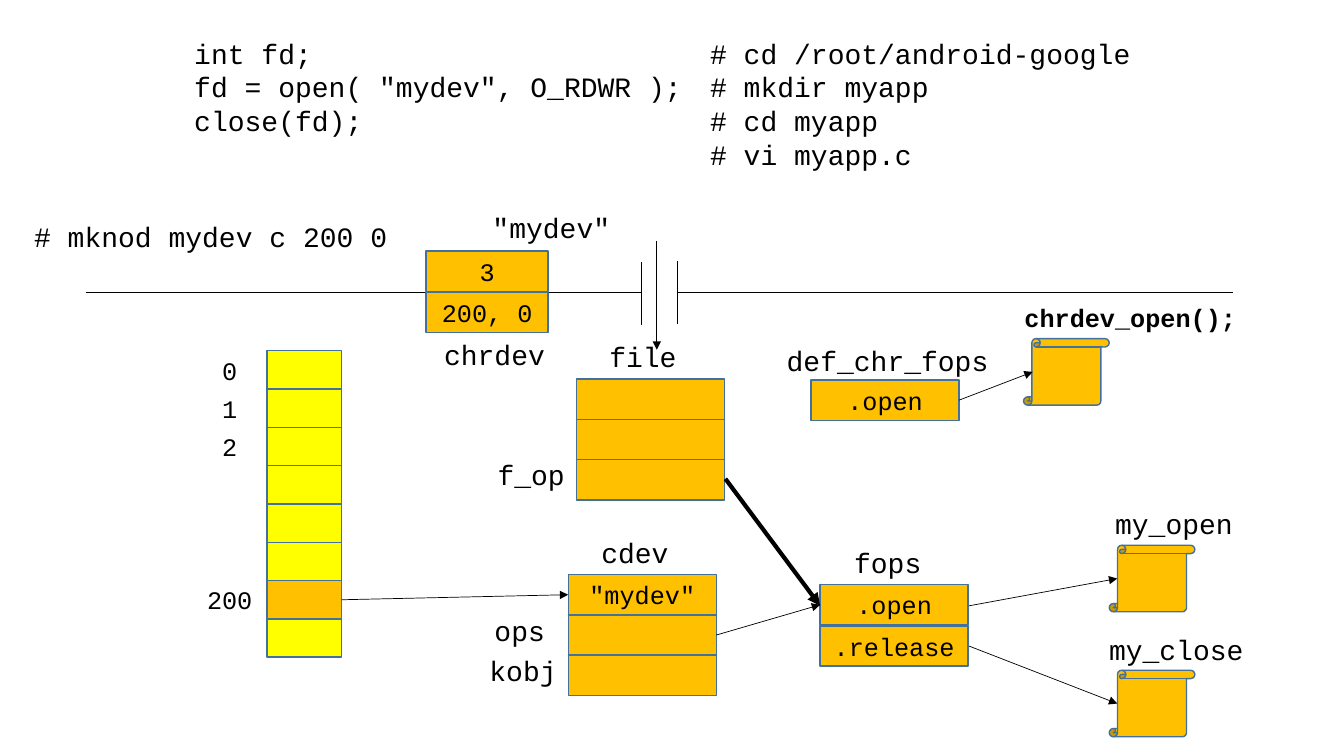
from dataclasses import dataclass

import lxml.etree
import pptx
import pptx.dml.color
import pptx.enum.shapes
import pptx.enum.text
import pptx.oxml.ns
import pptx.shapes.base
import pptx.slide
import pptx.text.text
import pptx.util

PX = pptx.util.Inches(0.01)
SHAPES = pptx.enum.shapes.MSO_SHAPE
ALIGN = pptx.enum.text.PP_ALIGN
ANCHOR = pptx.enum.text.MSO_ANCHOR


@dataclass(frozen=True)
class Theme:
    font: str = "Courier New"
    ink: str = "000000"
    outline: str = "41719C"
    amber: str = "FFC000"
    yellow: str = "FFFF00"
    cell_size: int = 18
    label_size: int = 20
    outline_width: float = 1
    thin: float = 0.5
    thick: float = 3


THEME = Theme()


@dataclass(frozen=True)
class Stack:
    """A column of cells, one per text."""
    left: int
    top: int
    width: int
    pitch: int
    texts: tuple[str, ...]
    height: int = 40
    fill: str = THEME.amber


@dataclass(frozen=True)
class Label:
    left: int
    top: int
    width: int
    lines: tuple[str, ...]
    size: int = THEME.label_size
    bold: bool = False


@dataclass(frozen=True)
class Line:
    start: tuple[int, int]
    end: tuple[int, int]
    width: float = THEME.thin
    arrow: bool = True


DIVIDER = [
    Line((85, 290), (637, 290), arrow=False),
    Line((672, 290), (1224, 290), arrow=False),
    Line((637, 260), (637, 322), arrow=False),
    Line((672, 259), (672, 321), arrow=False),
]
DEVICE_LEFT, DEVICE_TOP, DEVICE_WIDTH, DEVICE_PITCH, DEVICE_COUNT = 265, 348, 74, 38, 8
DEVICE_NUMBERS = {0: "0", 1: "1", 2: "2", 6: "200"}
USED_DEVICE = 6
STACKS = [
    Stack(DEVICE_LEFT, DEVICE_TOP, DEVICE_WIDTH, DEVICE_PITCH, ("",) * DEVICE_COUNT,
          DEVICE_PITCH, THEME.yellow),
    Stack(DEVICE_LEFT, DEVICE_TOP + USED_DEVICE * DEVICE_PITCH, DEVICE_WIDTH,
          DEVICE_PITCH, ("",), DEVICE_PITCH),
    Stack(423, 249, 121, 41, ("3", "200, 0")),
    Stack(572, 376, 147, 40, ("", "", "")),
    Stack(564, 570, 147, 40, ('"mydev"', "", "")),
    Stack(814, 580, 147, 41, (".open", ".release")),
    Stack(805, 377, 147, 40, (".open",)),
]
SCROLLS = [(1016, 336), (1101, 541), (1101, 665)]
SCROLL_SIZE = (85, 66)
ARROWS = [
    Line((652, 239), (652, 347)),
    Line((339, 595), (564, 590)),
    Line((711, 630), (814, 600)),
    Line((962, 601), (1109, 574)),
    Line((962, 641), (1109, 698)),
    Line((952, 397), (1025, 369)),
    Line((720, 475), (814, 601), THEME.thick),
]
LABELS = [
    Label(183, 31, 506, ("int fd;", 'fd = open( "mydev", O_RDWR );', "close(fd);")),
    Label(695, 31, 439, ("# cd /root/android-google", "# mkdir myapp",
                         "# cd myapp", "# vi myapp.c")),
    Label(24, 213, 372, ("# mknod mydev c 200 0",)),
    Label(479, 204, 137, ('"mydev"',)),
    Label(431, 330, 137, ("chrdev",)),
    Label(595, 332, 87, ("file",)),
    Label(484, 449, 87, ("f_op",)),
    Label(587, 526, 87, ("cdev",)),
    Label(481, 604, 70, ("ops",)),
    Label(476, 643, 87, ("kobj",)),
    Label(838, 536, 87, ("fops",)),
    Label(771, 336, 221, ("def_chr_fops",)),
    Label(1097, 498, 137, ("my_open",)),
    Label(1091, 623, 154, ("my_close",)),
    Label(1007, 295, 230, ("chrdev_open();",), THEME.cell_size, True),
]


def color(value: str) -> pptx.dml.color.RGBColor:
    return pptx.dml.color.RGBColor.from_string(value)


def add_run(paragraph: pptx.text.text._Paragraph, text: str, size: int,
            bold: bool = False) -> None:
    run = paragraph.add_run()
    run.text = text
    run.font.name = THEME.font
    run.font.size = pptx.util.Pt(size)
    run.font.bold = bold
    run.font.color.rgb = color(THEME.ink)


def center_text(shape: pptx.shapes.base.BaseShape, text: str) -> None:
    frame = shape.text_frame
    frame.word_wrap = True
    frame.vertical_anchor = ANCHOR.MIDDLE
    paragraph = frame.paragraphs[0]
    paragraph.alignment = ALIGN.CENTER
    add_run(paragraph, text, THEME.cell_size)


def draw_shape(slide: pptx.slide.Slide, kind: pptx.enum.shapes.MSO_SHAPE, left: int,
               top: int, width: int, height: int, fill: str) -> pptx.shapes.base.BaseShape:
    shape = slide.shapes.add_shape(kind, left * PX, top * PX, width * PX, height * PX)
    shape.shadow.inherit = False
    shape.fill.solid()
    shape.fill.fore_color.rgb = color(fill)
    shape.line.color.rgb = color(THEME.outline)
    shape.line.width = pptx.util.Pt(THEME.outline_width)
    return shape


def draw_stack(slide: pptx.slide.Slide, stack: Stack) -> None:
    for row, text in enumerate(stack.texts):
        cell = draw_shape(slide, SHAPES.RECTANGLE, stack.left, stack.top + row * stack.pitch,
                          stack.width, stack.height, stack.fill)
        if text:
            center_text(cell, text)


def draw_device_numbers(slide: pptx.slide.Slide) -> None:
    for row, number in DEVICE_NUMBERS.items():
        box = slide.shapes.add_textbox(
            (DEVICE_LEFT - DEVICE_WIDTH) * PX, (DEVICE_TOP + row * DEVICE_PITCH) * PX,
            DEVICE_WIDTH * PX, DEVICE_PITCH * PX)
        center_text(box, number)


def draw_label(slide: pptx.slide.Slide, label: Label) -> None:
    height = 11 + 33 * len(label.lines)
    box = slide.shapes.add_textbox(label.left * PX, label.top * PX,
                                   label.width * PX, height * PX)
    frame = box.text_frame
    frame.word_wrap = False
    frame.auto_size = pptx.enum.text.MSO_AUTO_SIZE.SHAPE_TO_FIT_TEXT
    for index, text in enumerate(label.lines):
        paragraph = frame.add_paragraph() if index else frame.paragraphs[0]
        add_run(paragraph, text, label.size, label.bold)


def draw_line(slide: pptx.slide.Slide, line: Line) -> None:
    points = [value * PX for value in (*line.start, *line.end)]
    connector = slide.shapes.add_connector(pptx.enum.shapes.MSO_CONNECTOR.STRAIGHT, *points)
    connector.line.color.rgb = color(THEME.ink)
    connector.line.width = pptx.util.Pt(line.width)
    properties = connector._element.spPr
    if line.arrow:
        outline = properties.find(pptx.oxml.ns.qn("a:ln"))
        lxml.etree.SubElement(outline, pptx.oxml.ns.qn("a:tailEnd"), type="triangle")
    lxml.etree.SubElement(properties, pptx.oxml.ns.qn("a:effectLst"))


def main() -> None:
    presentation = pptx.Presentation()
    presentation.slide_width = 1334 * PX
    presentation.slide_height = 750 * PX
    slide = presentation.slides.add_slide(presentation.slide_layouts[6])
    for line in DIVIDER:
        draw_line(slide, line)
    for stack in STACKS:
        draw_stack(slide, stack)
    draw_device_numbers(slide)
    for left, top in SCROLLS:
        draw_shape(slide, SHAPES.VERTICAL_SCROLL, left, top, *SCROLL_SIZE, THEME.amber)
    for arrow in ARROWS:
        draw_line(slide, arrow)
    for label in LABELS:
        draw_label(slide, label)
    presentation.save("out.pptx")


if __name__ == "__main__":
    main()
